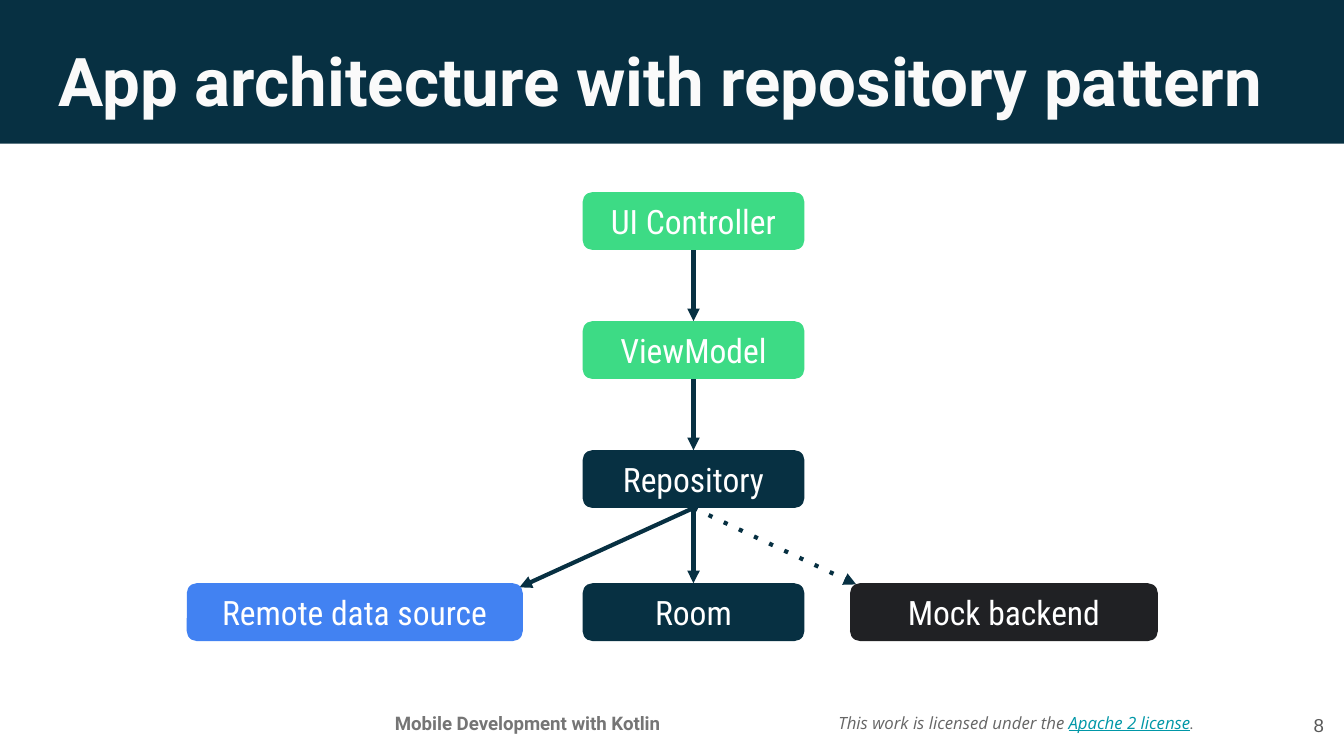
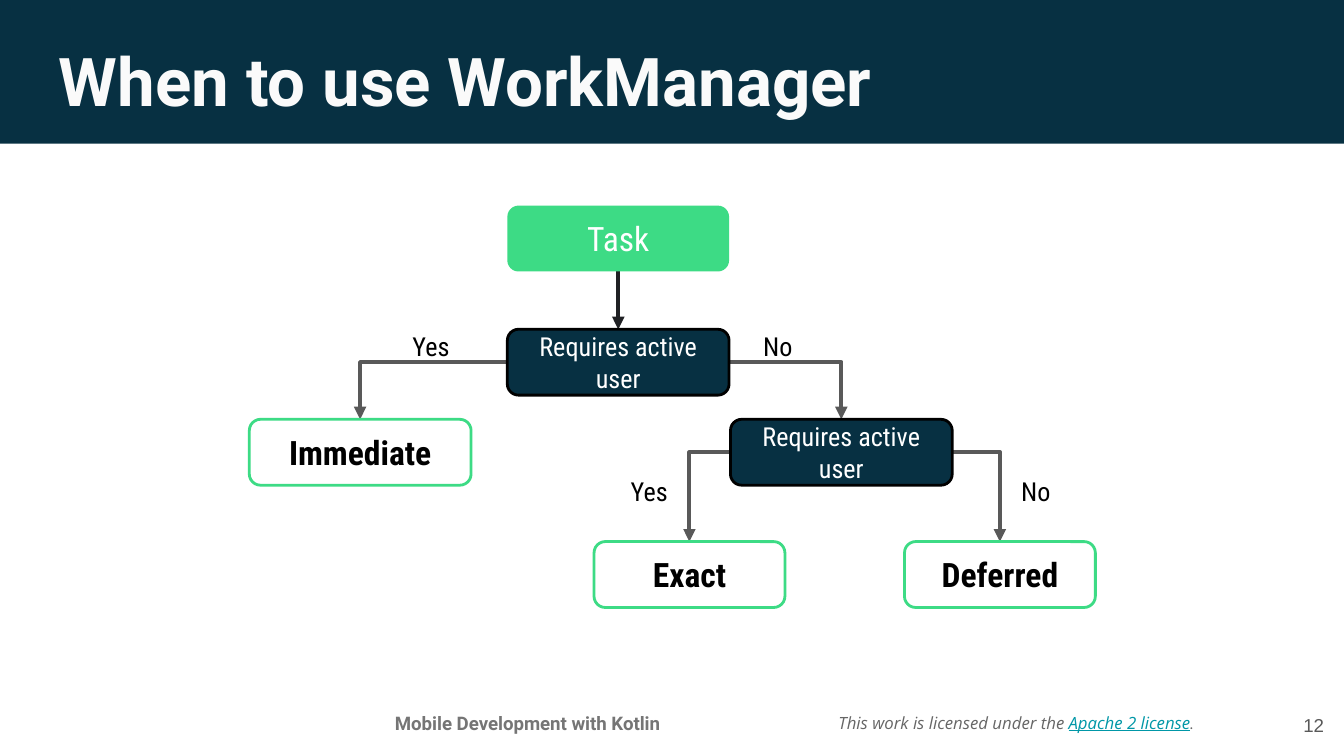
import pptx
import pptx.util
import pptx.dml.color
import pptx.enum.shapes
import pptx.enum.text
import pptx.oxml
import pptx.oxml.ns
from dataclasses import dataclass

Inches, Pt = pptx.util.Inches, pptx.util.Pt
Align = pptx.enum.text.PP_ALIGN
Anchor = pptx.enum.text.MSO_ANCHOR
Shape = pptx.enum.shapes.MSO_SHAPE
Line = pptx.enum.shapes.MSO_CONNECTOR
qn = pptx.oxml.ns.qn


@dataclass(frozen=True)
class Theme:
    navy: str = "073042"
    green: str = "3DDB85"
    blue: str = "4282F2"
    coal: str = "202124"
    grey: str = "595959"
    black: str = "000000"
    white: str = "FFFFFF"
    title: str = "FAFAFA"
    foot: str = "757575"
    credit: str = "666666"
    link: str = "0097A7"
    head: str = "Roboto"
    body: str = "Roboto Condensed"
    note: str = "Open Sans"
    plain: str = "Arial"
    big: int = 36
    mid: int = 18
    small: int = 14
    foot_size: int = 10
    note_size: int = 9
    edge: float = 1.5
    arrow: float = 2.25
    pad: float = 0.1
    round: float = 0.17


T = Theme()
WIDE = 10
HIGH = WIDE * 9 / 16

# Fill, edge, text colour, size, bold
STYLES = {
    "green": (T.green, None, T.white, T.mid, False),
    "navy": (T.navy, None, T.white, T.mid, False),
    "blue": (T.blue, None, T.white, T.mid, False),
    "coal": (T.coal, None, T.white, T.mid, False),
    "ask": (T.navy, T.black, T.white, T.small, False),
    "end": (T.white, T.green, T.black, T.mid, True),
}

# Points on a box, as shares of its width and height
TOP, LOW, LEFT, RIGHT = (0.5, 0), (0.5, 1), (0, 0.5), (1, 0.5)

FOOT = "Mobile Development with Kotlin"
CREDIT = [  # text, font, colour, underline
    ("This work is licensed under the ", T.note, T.credit, False),
    ("Apache 2 license", T.note, T.link, True),
    (".", T.head, T.credit, False),
]

SLIDES = [
    {
        "title": "App architecture with repository pattern",
        "page": "8",
        "rows": [1.43, 2.39, 3.35, 4.34],
        "tall": 0.43,
        # key: text, style, centre, row, width
        "boxes": {
            "ui": ("UI Controller", "green", 5.16, 0, 1.65),
            "model": ("ViewModel", "green", 5.16, 1, 1.65),
            "repo": ("Repository", "navy", 5.16, 2, 1.65),
            "remote": ("Remote data source", "blue", 2.64, 3, 2.5),
            "mock": ("Mock backend", "coal", 7.47, 3, 2.29),
            "room": ("Room", "navy", 5.16, 3, 1.65),
        },
        # from, point, to, point, colour, look
        "links": [
            ("ui", LOW, "model", TOP, T.navy, ""),
            ("model", LOW, "repo", TOP, T.navy, ""),
            ("repo", LOW, "mock", (0.02, 0.02), T.navy, "dot"),
            ("repo", LOW, "remote", (0.99, 0.07), T.navy, ""),
            ("repo", LOW, "room", TOP, T.navy, ""),
        ],
        "labels": [],
    },
    {
        "title": "When to use WorkManager",
        "page": "12",
        "rows": [1.53, 2.45, 3.12, 4.03],
        "tall": 0.49,
        "boxes": {
            "task": ("Task", "green", 4.6, 0, 1.65),
            "first": ("Requires active user", "ask", 4.6, 1, 1.65),
            "next": ("Requires active user", "ask", 6.26, 2, 1.65),
            "now": ("Immediate", "end", 2.68, 2, 1.65),
            "exact": ("Exact", "end", 5.13, 3, 1.42),
            "later": ("Deferred", "end", 7.44, 3, 1.42),
        },
        "links": [
            ("task", LOW, "first", TOP, T.coal, ""),
            ("first", LEFT, "now", TOP, T.grey, "bent"),
            ("first", RIGHT, "next", TOP, T.grey, "bent"),
            ("next", LEFT, "exact", TOP, T.grey, "bent"),
            ("next", RIGHT, "later", TOP, T.grey, "bent"),
        ],
        # text, left, top, alignment
        "labels": [
            ("Yes", 2.97, 2.47, Align.LEFT),
            ("No", 5.58, 2.47, Align.LEFT),
            ("Yes", 4.57, 3.55, Align.CENTER),
            ("No", 7.5, 3.55, Align.LEFT),
        ],
    },
]


def rgb(code):
    return pptx.dml.color.RGBColor.from_string(code)


def style(font, face, size, color, bold=False):
    font.name, font.size, font.bold = face, Pt(size), bold
    font.color.rgb = rgb(color)


def frame(shape, align, anchor):
    """Set the margins and alignment of a shape's text."""
    text = shape.text_frame
    text.word_wrap = True
    text.vertical_anchor = anchor
    text.margin_left = text.margin_right = Inches(T.pad)
    text.margin_top = text.margin_bottom = Inches(T.pad)
    text.paragraphs[0].alignment = align
    return text


def write(slide, text, area, face, size, color, bold=False,
          align=Align.LEFT, anchor=Anchor.MIDDLE):
    box = slide.shapes.add_textbox(*map(Inches, area))
    box.text_frame.text = text
    part = frame(box, align, anchor).paragraphs[0]
    style(part.runs[0].font, face, size, color, bold)


def block(slide, kind, area, fill, edge=None):
    """Add a filled shape, with an outline only if edge is given."""
    shape = slide.shapes.add_shape(kind, *map(Inches, area))
    shape.shadow.inherit = False
    shape.fill.solid()
    shape.fill.fore_color.rgb = rgb(fill)
    if edge:
        shape.line.color.rgb = rgb(edge)
        shape.line.width = Pt(T.edge)
    else:
        shape.line.fill.background()
    return shape


def node(slide, text, look, area):
    fill, edge, color, size, bold = STYLES[look]
    shape = block(slide, Shape.ROUNDED_RECTANGLE, area, fill, edge)
    shape.adjustments[0] = T.round
    shape.text_frame.text = text
    part = frame(shape, Align.CENTER, Anchor.MIDDLE).paragraphs[0]
    style(part.runs[0].font, T.body, size, color, bold)


def spot(area, share):
    """Find the place on a box at the given shares of its size."""
    left, top, wide, tall = area
    return Inches(left + wide * share[0]), Inches(top + tall * share[1])


def arrow(slide, start, end, color, look):
    kind = Line.ELBOW if look == "bent" else Line.STRAIGHT
    line = slide.shapes.add_connector(kind, *start, *end)
    line.line.color.rgb = rgb(color)
    line.line.width = Pt(T.arrow)
    props = line.element.spPr
    if look == "bent":
        props.find(qn("a:prstGeom")).set("prst", "bentConnector2")
    stroke = props.find(qn("a:ln"))
    if look == "dot":
        dash = pptx.oxml.xmlchemy.OxmlElement("a:prstDash")
        dash.set("val", "dot")
        stroke.append(dash)
    tip = pptx.oxml.xmlchemy.OxmlElement("a:tailEnd")
    tip.set("type", "triangle")
    stroke.append(tip)
    props.append(pptx.oxml.xmlchemy.OxmlElement("a:effectLst"))


def credit(slide):
    box = slide.shapes.add_textbox(*map(Inches, (6.14, 5.14, 2.94, 0.47)))
    part = frame(box, Align.LEFT, Anchor.MIDDLE).paragraphs[0]
    for text, face, color, under in CREDIT:
        run = part.add_run()
        run.text = text
        style(run.font, face, T.note_size, color)
        run.font.italic, run.font.underline = True, under


def base(slide, title, page):
    """Draw the band, title and footer that all slides share."""
    credit(slide)
    block(slide, Shape.RECTANGLE, (-0.01, -0.04, WIDE + 0.01, 1.11), T.navy)
    write(slide, FOOT, (2.51, 5.21, 2.83, 0.32), T.head, T.foot_size, T.foot,
          True, Align.CENTER, Anchor.TOP)
    write(slide, title, (0.34, 0.19, 9.32, 0.63), T.head, T.big, T.title,
          True, anchor=Anchor.TOP)
    write(slide, page, (9.35, 5.18, 0.6, 0.43), T.plain, T.foot_size, T.grey,
          align=Align.RIGHT)


def chart(slide, data):
    """Draw the arrows, boxes and labels of one flow chart."""
    areas = {
        key: (mid - wide / 2, data["rows"][row], wide, data["tall"])
        for key, (_, _, mid, row, wide) in data["boxes"].items()
    }
    for start, exit, end, entry, color, look in data["links"]:
        arrow(slide, spot(areas[start], exit), spot(areas[end], entry),
              color, look)
    for key, (text, look, *_) in data["boxes"].items():
        node(slide, text, look, areas[key])
    for text, left, top, align in data["labels"]:
        write(slide, text, (left, top, 0.52, 0.21), T.body, T.small, T.black,
              align=align)


def main():
    deck = pptx.Presentation()
    deck.slide_width, deck.slide_height = Inches(WIDE), Inches(HIGH)
    for data in SLIDES:
        slide = deck.slides.add_slide(deck.slide_layouts[6])
        base(slide, data["title"], data["page"])
        chart(slide, data)
    deck.save("out.pptx")


if __name__ == "__main__":
    main()
